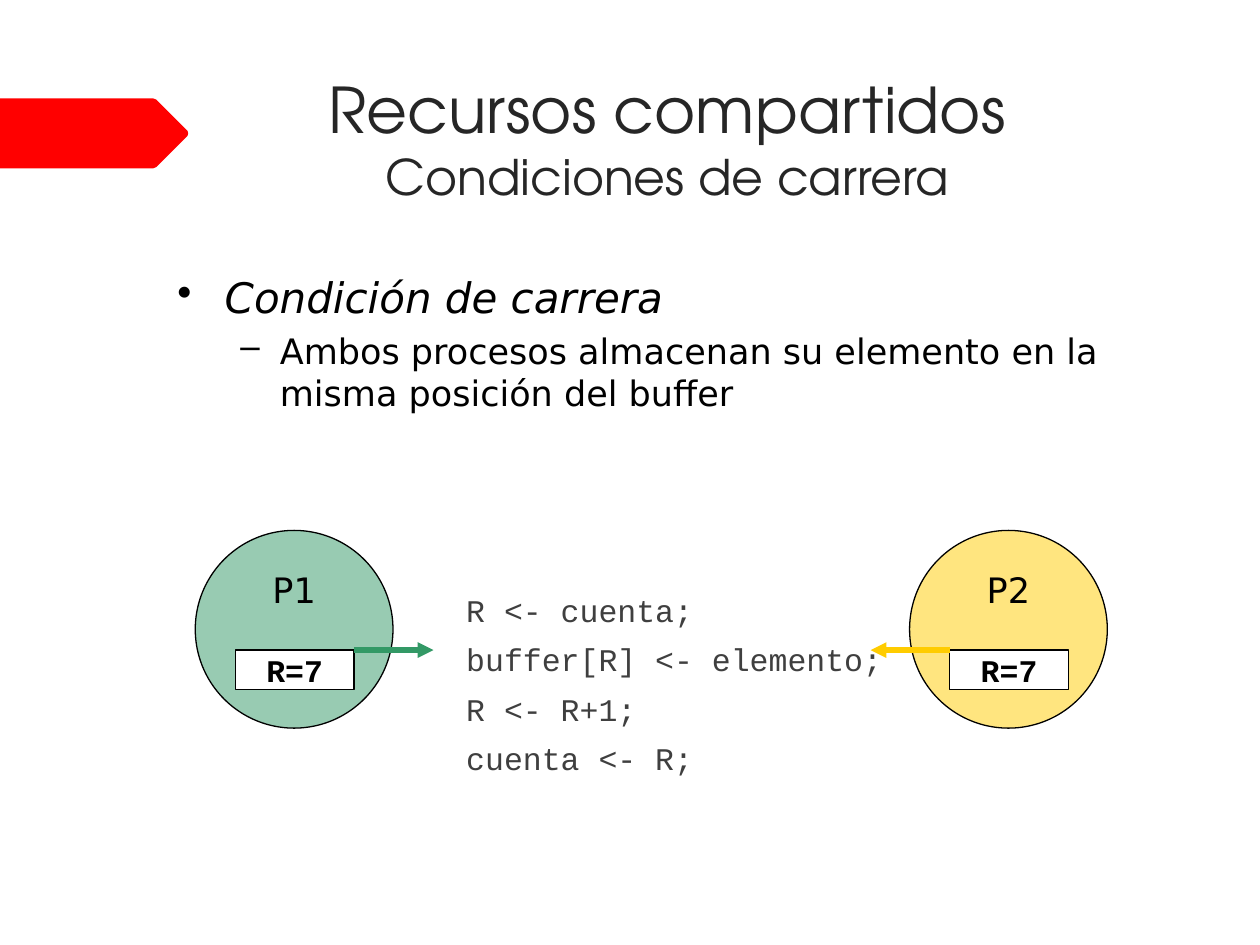
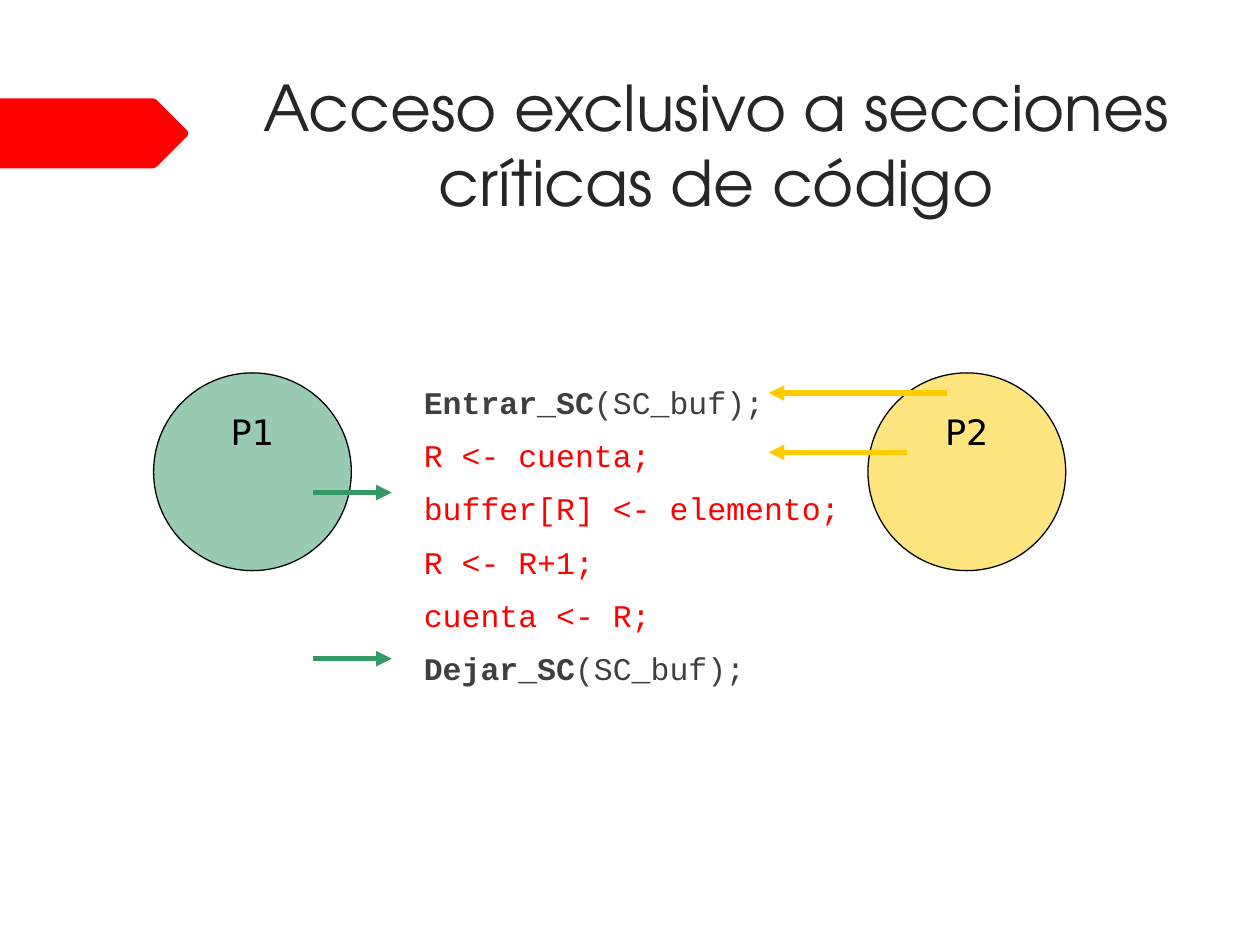
from lxml.etree import SubElement
from pptx import Presentation
from pptx.dml.color import RGBColor
from pptx.enum.shapes import MSO_CONNECTOR, MSO_SHAPE
from pptx.enum.text import MSO_ANCHOR, MSO_AUTO_SIZE, PP_ALIGN
from pptx.oxml.ns import qn
from pptx.util import Pt

BLACK = RGBColor(0x00, 0x00, 0x00)
WHITE = RGBColor(0xFF, 0xFF, 0xFF)
RED = RGBColor(0xFF, 0x00, 0x00)
GREEN = RGBColor(0x33, 0x99, 0x66)
YELLOW = RGBColor(0xFF, 0xCC, 0x00)
TITLE_GRAY = RGBColor(0x26, 0x26, 0x26)
CODE_GRAY = RGBColor(0x3F, 0x3F, 0x3F)

TITLE_FONT = "TeX Gyre Adventor"
CODE_FONT = "Courier New"
TEXT_FONT = "DejaVu Sans"

DIAMETER = 113
PROCESS_GAP = 408.2
BAND_TOP = 56.2
BAND_OUTLINE = [(0, 0), (87.5, 0), (89.3, 0.7), (107.2, 18.6), (107.6, 20),
                (107.2, 21.4), (89.3, 39.3), (87.5, 40), (0, 40)]


def add_run(paragraph, text, font, size, color, bold=False, italic=False):
    run = paragraph.add_run()
    run.text = text
    run.font.name = font
    run.font.size = Pt(size)
    run.font.color.rgb = color
    run.font.bold = bold
    run.font.italic = italic


def next_paragraph(frame, index):
    return frame.add_paragraph() if index else frame.paragraphs[0]


def set_indent(paragraph, margin, indent, bullet=None):
    properties = paragraph._p.get_or_add_pPr()
    properties.set("marL", str(Pt(margin)))
    properties.set("indent", str(Pt(indent)))
    if bullet:
        SubElement(properties, qn("a:buChar"), char=bullet)
    else:
        SubElement(properties, qn("a:buNone"))


def place(shape, left, top, width, height):
    shape.left, shape.top = Pt(left), Pt(top)
    shape.width, shape.height = Pt(width), Pt(height)


def set_frame(frame, inset):
    frame.word_wrap = True
    frame.auto_size = MSO_AUTO_SIZE.NONE
    frame.vertical_anchor = MSO_ANCHOR.TOP
    frame.margin_left = frame.margin_right = Pt(inset)
    frame.margin_top = frame.margin_bottom = Pt(inset)


def add_band(slide):
    points = [(Pt(x), Pt(BAND_TOP + y)) for x, y in BAND_OUTLINE]
    builder = slide.shapes.build_freeform(*points[0])
    builder.add_line_segments(points[1:])
    band = builder.convert_to_shape()
    band.shadow.inherit = False
    band.fill.solid()
    band.fill.fore_color.rgb = RED
    band.line.fill.background()


def add_titled_slide(presentation, box, lines):
    slide = presentation.slides.add_slide(presentation.slide_layouts[1])
    add_band(slide)
    title = slide.shapes.title
    place(title, *box)
    set_frame(title.text_frame, 7.2)
    paragraph = title.text_frame.paragraphs[0]
    paragraph.alignment = PP_ALIGN.CENTER
    for index, (text, size) in enumerate(lines):
        if index:
            paragraph.add_line_break()
            line_break = paragraph._p.find(qn("a:br"))
            SubElement(line_break, qn("a:rPr"), sz=str(lines[0][1] * 100))
        add_run(paragraph, text, TITLE_FONT, size, TITLE_GRAY)
    return slide


def fill_code(slide, box, lines, first_spacing, spacing):
    body = slide.placeholders[1]
    place(body, *box)
    set_frame(body.text_frame, 7.2)
    for index, runs in enumerate(lines):
        paragraph = next_paragraph(body.text_frame, index)
        paragraph.level = 2
        paragraph.line_spacing = spacing if index else first_spacing
        paragraph.space_before = Pt(11 if index else 0)
        set_indent(paragraph, 79.2, 0)
        for text, color, bold in runs:
            add_run(paragraph, text, CODE_FONT, 18, color, bold)


def add_bullets(slide, box, items):
    frame = slide.shapes.add_textbox(*map(Pt, box)).text_frame
    frame.word_wrap = True
    frame.vertical_anchor = MSO_ANCHOR.MIDDLE
    for index, (text, level, bullet, margin, indent, size, italic) in enumerate(items):
        paragraph = next_paragraph(frame, index)
        paragraph.level = level
        paragraph.space_before = Pt(4 if index else 0)
        set_indent(paragraph, margin, indent, bullet)
        add_run(paragraph, text, TEXT_FONT, size, BLACK, italic=italic)


def add_outlined(slide, kind, box, fill):
    shape = slide.shapes.add_shape(kind, *map(Pt, box))
    shape.shadow.inherit = False
    shape.fill.solid()
    shape.fill.fore_color.rgb = fill
    shape.line.color.rgb = BLACK
    shape.line.width = Pt(0.75)
    shape.text_frame.word_wrap = False
    shape.text_frame.paragraphs[0].alignment = PP_ALIGN.CENTER
    return shape


def add_process(slide, name, left, top, color):
    circle = add_outlined(slide, MSO_SHAPE.OVAL, (left, top, DIAMETER, DIAMETER), color)
    fill_color = circle.element.spPr.find(qn("a:solidFill")).find(qn("a:srgbClr"))
    SubElement(fill_color, qn("a:alpha"), val="50000")
    frame = circle.text_frame
    frame.vertical_anchor = MSO_ANCHOR.TOP
    frame.margin_top = Pt(5)
    add_run(frame.paragraphs[0], name, TEXT_FONT, 20, BLACK)


def add_register(slide, text, left, top):
    register = add_outlined(slide, MSO_SHAPE.RECTANGLE, (left, top, 68, 22.5), WHITE)
    register.text_frame.vertical_anchor = MSO_ANCHOR.MIDDLE
    add_run(register.text_frame.paragraphs[0], text, CODE_FONT, 18, BLACK, bold=True)


def add_arrow(slide, start, end, y, color):
    arrow = slide.shapes.add_connector(
        MSO_CONNECTOR.STRAIGHT, Pt(start), Pt(y), Pt(end), Pt(y))
    arrow.line.color.rgb = color
    arrow.line.width = Pt(3)
    properties = arrow.element.spPr
    SubElement(properties.find(qn("a:ln")), qn("a:tailEnd"), type="triangle")
    SubElement(properties, qn("a:effectLst"))


def build_race_slide(presentation):
    slide = add_titled_slide(presentation, (153.4, 33.1, 455.8, 87.8),
                             [("Recursos compartidos", 36), ("Condiciones de carrera", 28)])
    code = ["R <- cuenta;", "buffer[R] <- elemento;", "R <- R+1;", "cuenta <- R;"]
    fill_code(slide, (180, 327, 385.2, 113.8),
              [[(line, CODE_GRAY, False)] for line in code], 1.15, 0.8)
    add_bullets(slide, (94.3, 133.9, 563, 123.8), [
        ("Condición de carrera", 0, "•", 27, -27, 24, True),
        ("Ambos procesos almacenan su elemento en la misma posición del buffer",
         1, "–", 58.5, -22.5, 20, False)])
    left, top, register_top = 111.6, 303.1, 371.5
    processes = [("P1", GREEN, 202.3, 247.7), ("P2", YELLOW, 542.9, 497.5)]
    for index, (name, color, start, end) in enumerate(processes):
        process_left = left + index * PROCESS_GAP
        add_process(slide, name, process_left, top, color)
        add_register(slide, "R=7", process_left + 22.8, register_top)
        add_arrow(slide, start, end, register_top, color)


def build_exclusive_slide(presentation):
    slide = add_titled_slide(presentation, (115.2, 31.7, 588.2, 113),
                             [("Acceso exclusivo a secciones críticas de código", 36)])
    critical = ["R <- cuenta;", "buffer[R] <- elemento;", "R <- R+1;", "cuenta <- R;"]
    enter, leave = ([(call, CODE_GRAY, True), ("(SC_buf);", CODE_GRAY, False)]
                    for call in ("Entrar_SC", "Dejar_SC"))
    lines = [enter, *([(line, RED, False)] for line in critical), leave]
    fill_code(slide, (155.8, 214, 385.2, 147.6), lines, 0.9, 0.9)
    left, top = 87.8, 213.1
    add_process(slide, "P1", left, top, GREEN)
    add_arrow(slide, 178.6, 223.9, 281.5, GREEN)
    add_process(slide, "P2", left + PROCESS_GAP, top, YELLOW)
    add_arrow(slide, 541.4, 439.2, 224.6, YELLOW)
    add_arrow(slide, 178.6, 223.9, 376.4, GREEN)
    add_arrow(slide, 518.4, 439.2, 258.5, YELLOW)


def main():
    presentation = Presentation()
    presentation.slide_width = Pt(720)
    presentation.slide_height = Pt(540)
    build_race_slide(presentation)
    build_exclusive_slide(presentation)
    presentation.save("out.pptx")


if __name__ == "__main__":
    main()
